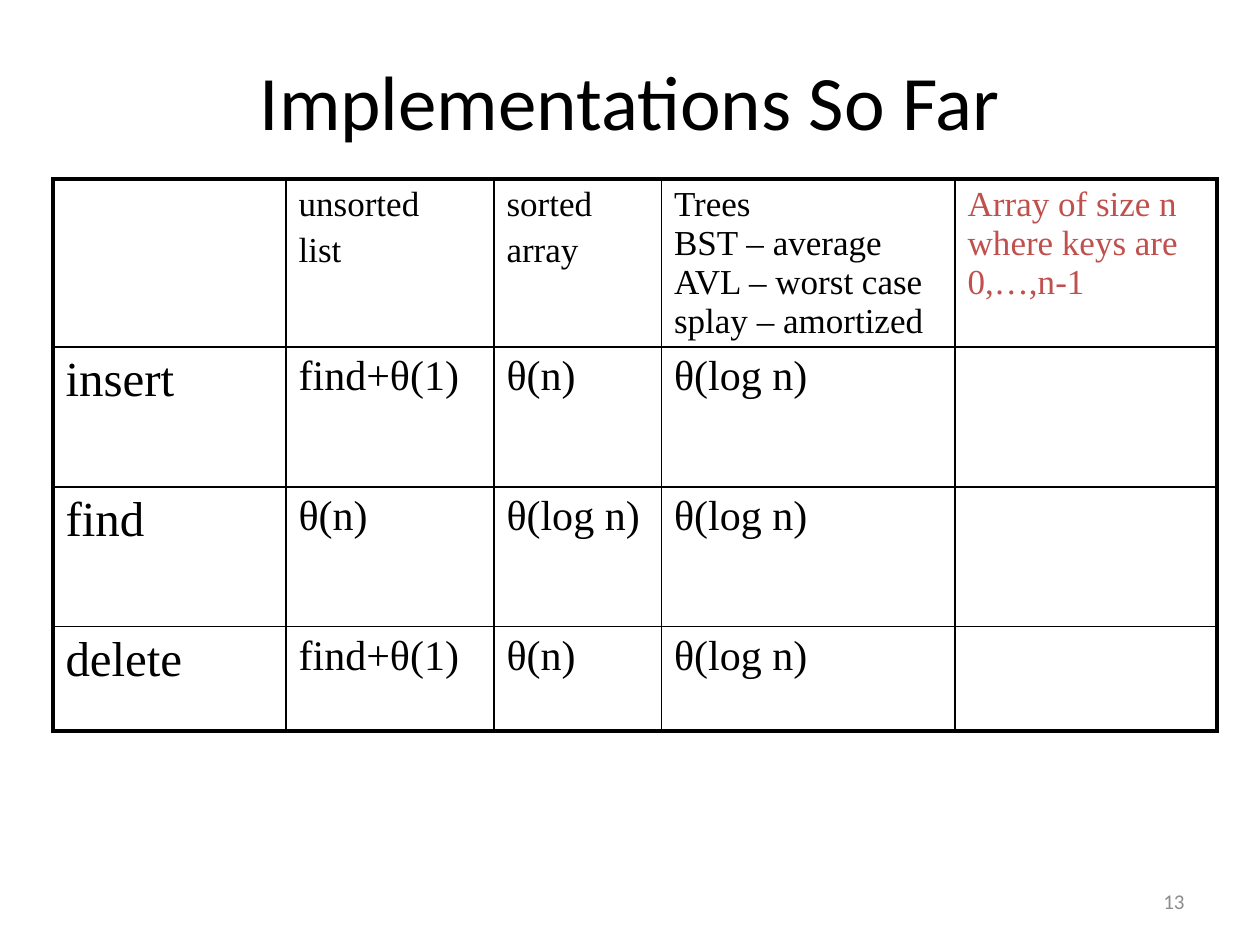
from dataclasses import dataclass

from lxml.etree import SubElement
from pptx import Presentation
from pptx.dml.color import RGBColor
from pptx.enum.text import MSO_ANCHOR, PP_ALIGN
from pptx.oxml.ns import qn
from pptx.util import Inches, Pt

BLACK, RED, GRAY = "000000", "C0504D", "8C8C8C"
SERIF, SANS = "Times New Roman", "Calibri"
OUTER, INNER = 2.25, 1


@dataclass
class Entry:
    text: str
    size: int = 24
    color: str = BLACK


def rgb(value: str) -> RGBColor:
    return RGBColor.from_string(value)


def set_font(p, name: str, size: float, color: str) -> None:
    p.font.name = name
    p.font.size = Pt(size)
    p.font.color.rgb = rgb(color)


def add_border(cell, side: str, width: float) -> None:
    ln = SubElement(cell._tc.get_or_add_tcPr(), qn(f"a:ln{side}"), w=str(Pt(width)))
    fill = SubElement(ln, qn("a:solidFill"))
    SubElement(fill, qn("a:srgbClr"), val=BLACK)


def fill_cell(cell, entry: Entry) -> None:
    cell.text = entry.text
    for i, p in enumerate(cell.text_frame.paragraphs):
        set_font(p, SERIF, entry.size, entry.color)
        if i:
            p.space_before = Pt(entry.size * 0.2)


def add_grid(s, left: float, top: float, widths: list[float],
             heights: list[float], rows: list[list[Entry]]) -> None:
    frame = s.shapes.add_table(len(heights), len(widths), Inches(left), Inches(top),
                               Inches(sum(widths)), Inches(sum(heights)))
    table = frame.table
    table.first_row = table.horz_banding = False
    for column, width in zip(table.columns, widths):
        column.width = Inches(width)
    for row, height in zip(table.rows, heights):
        row.height = Inches(height)
    last_row, last_col = len(heights) - 1, len(widths) - 1
    for i, entries in enumerate(rows):
        for j, entry in enumerate(entries):
            cell = table.cell(i, j)
            edges = {"L": j == 0, "R": j == last_col, "T": i == 0, "B": i == last_row}
            for side, is_outer in edges.items():
                add_border(cell, side, OUTER if is_outer else INNER)
            cell.fill.background()
            if entry.text:
                fill_cell(cell, entry)


def operation(name: str, *costs: str) -> list[Entry]:
    return [Entry(name, 28), *(Entry(cost) for cost in costs), Entry("")]


def main() -> None:
    prs = Presentation()
    prs.slide_width, prs.slide_height = Inches(10), Inches(7.5)
    s = prs.slides.add_slide(prs.slide_layouts[5])

    title = s.shapes.title
    title.left, title.top = Inches(0.75), Inches(0.17)
    title.width, title.height = Inches(8.5), Inches(1.25)
    title.text_frame.text = "Implementations So Far"
    p = title.text_frame.paragraphs[0]
    p.alignment = PP_ALIGN.CENTER
    set_font(p, SANS, 44, BLACK)

    header = [
        Entry(""),
        Entry("unsorted\nlist", 20),
        Entry("sorted\narray", 20),
        Entry("Trees\vBST – average\vAVL – worst case\vsplay – amortized", 20),
        Entry("Array of size n where keys are 0,…,n-1", 20, RED),
    ]
    rows = [
        header,
        operation("insert", "find+θ(1)", "θ(n)", "θ(log n)"),
        operation("find", "θ(n)", "θ(log n)", "θ(log n)"),
        operation("delete", "find+θ(1)", "θ(n)", "θ(log n)"),
    ]
    add_grid(s, 0.42, 1.42, [1.85, 1.65, 1.33, 2.33, 2.08],
             [1.33, 1.11, 1.11, 0.83], rows)

    number = s.shapes.add_textbox(Inches(7.17), Inches(6.95), Inches(2.33), Inches(0.4))
    tf = number.text_frame
    tf.word_wrap = True
    tf.vertical_anchor = MSO_ANCHOR.MIDDLE
    tf.text = "13"
    p = tf.paragraphs[0]
    p.alignment = PP_ALIGN.RIGHT
    set_font(p, SANS, 12, GRAY)

    prs.save("out.pptx")


if __name__ == "__main__":
    main()
